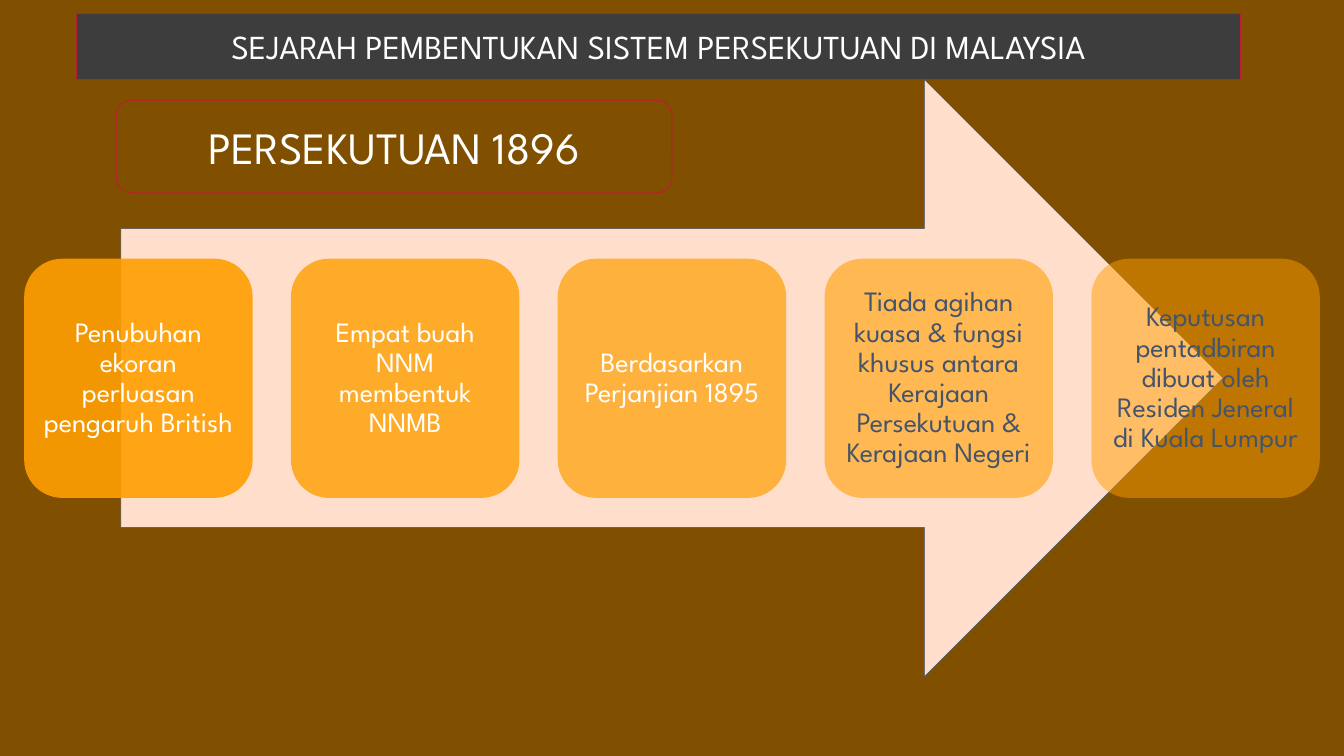
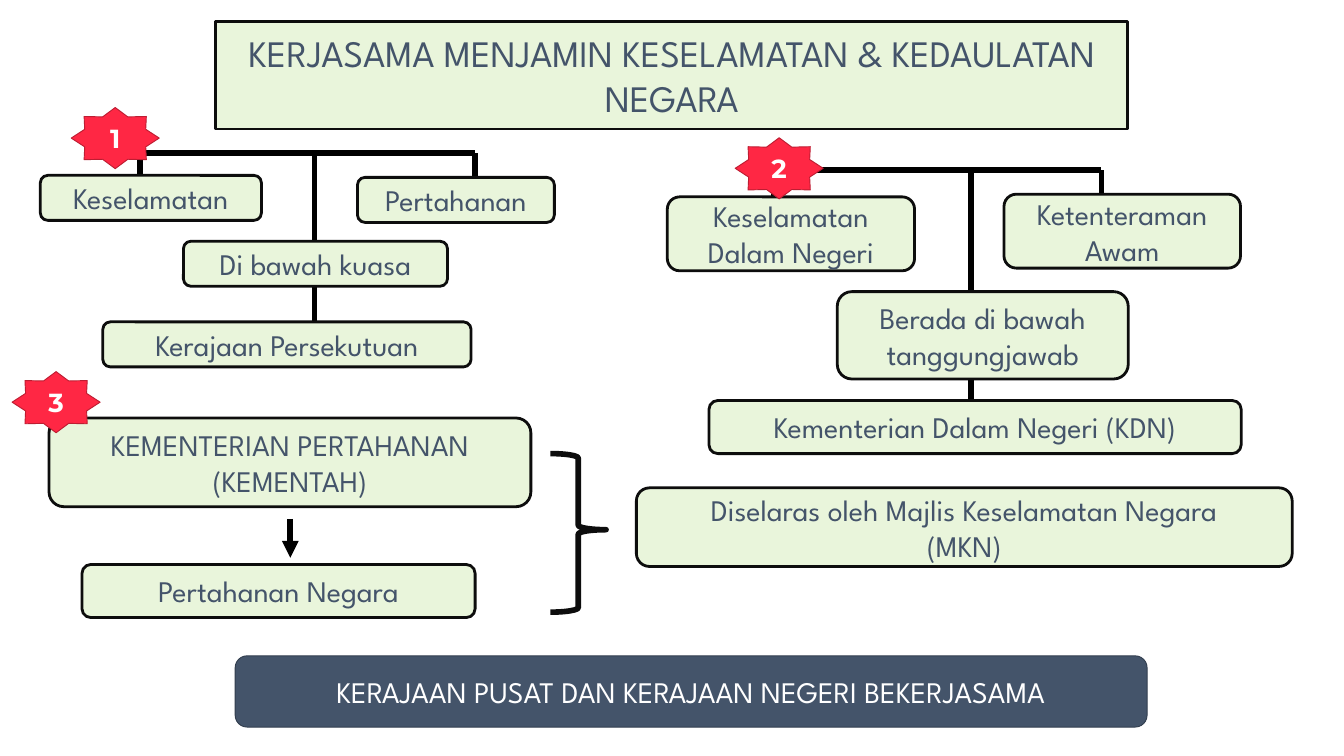
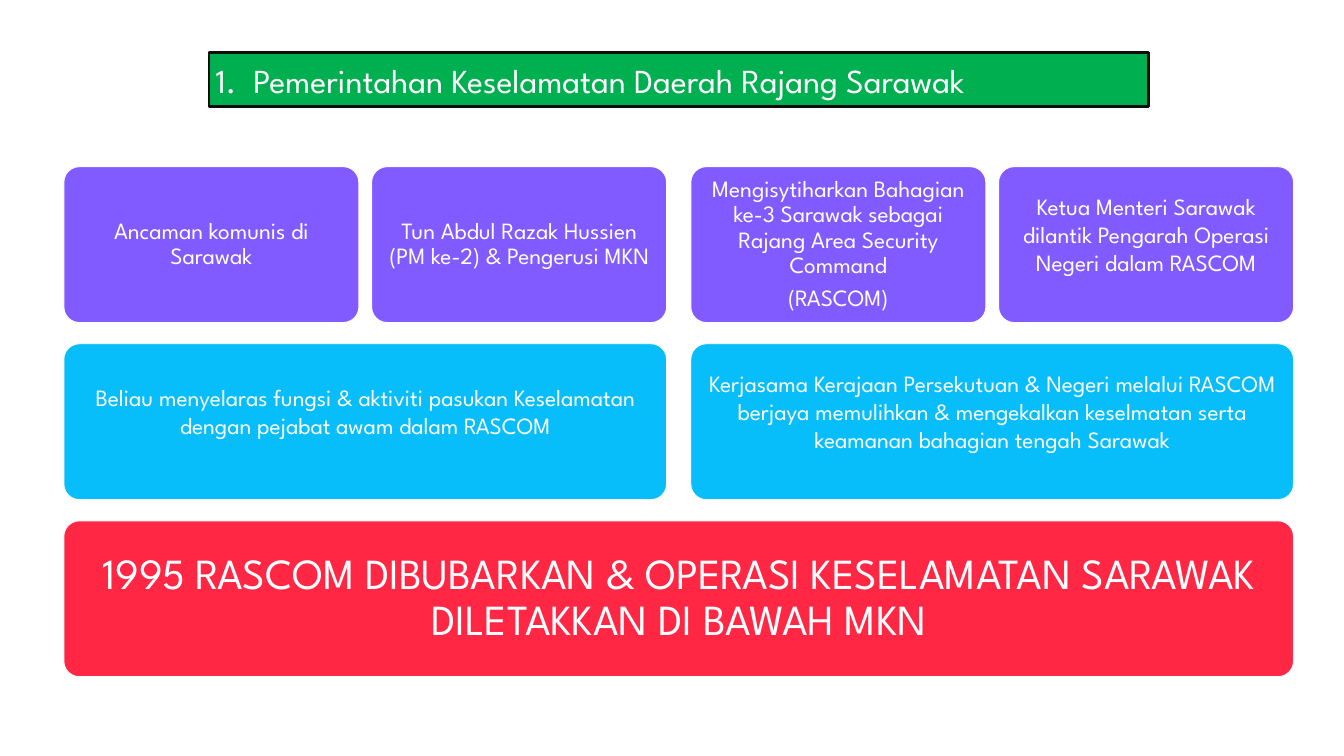
from dataclasses import dataclass
from typing import NamedTuple

from lxml import etree
from pptx import Presentation
from pptx.dml.color import RGBColor
from pptx.enum.shapes import MSO_CONNECTOR, MSO_SHAPE
from pptx.enum.text import MSO_ANCHOR, MSO_AUTO_SIZE, PP_ALIGN
from pptx.oxml.ns import qn
from pptx.util import Inches, Pt

ROUNDED = MSO_SHAPE.ROUNDED_RECTANGLE
ARROW = MSO_SHAPE.RIGHT_ARROW
STAR = MSO_SHAPE.STAR_8_POINT
BRACE = MSO_SHAPE.RIGHT_BRACE
STRAIGHT = MSO_CONNECTOR.STRAIGHT
MIDDLE = MSO_ANCHOR.MIDDLE
NO_FIT = MSO_AUTO_SIZE.NONE
CENTER = PP_ALIGN.CENTER
LEFT = PP_ALIGN.LEFT

WHITE = RGBColor(0xFF, 0xFF, 0xFF)
BLACK = RGBColor(0x00, 0x00, 0x00)
BROWN = RGBColor(0x80, 0x4F, 0x00)
PEACH = RGBColor(0xFF, 0xDF, 0xCC)
ORANGE = RGBColor(0xFF, 0x9E, 0x02)
SLATE = RGBColor(0x44, 0x54, 0x6A)
SLATE_DARK = RGBColor(0x32, 0x3E, 0x4E)
CHARCOAL = RGBColor(0x3D, 0x3D, 0x3D)
CRIMSON = RGBColor(0xBD, 0x1D, 0x32)
RED = RGBColor(0xFF, 0x27, 0x44)
PALE_GREEN = RGBColor(0xE9, 0xF5, 0xDB)
INK = RGBColor(0x0D, 0x0D, 0x0D)
GREEN = RGBColor(0x00, 0xB0, 0x50)
SKY = RGBColor(0x07, 0xBD, 0xFA)
VIOLET = RGBColor(0x81, 0x5B, 0xFF)

BODY_FONT = "League Spartan"
BADGE_FONT = "Montserrat"
COLUMNS, ROWS = 20, 11.25
COLUMN = ROW = Inches(1)
TITLE_ONLY = 5


class Area(NamedTuple):
    column: float
    row: float
    columns: float
    rows: float

    def lengths(self) -> tuple:
        return (int(self.column * COLUMN), int(self.row * ROW),
                int(self.columns * COLUMN), int(self.rows * ROW))


@dataclass(frozen=True)
class Look:
    fill: RGBColor
    line: RGBColor | None = None
    weight: float = 1
    opacity: int = 100


class Label(NamedTuple):
    area: Area
    text: str


class Drop(NamedTuple):
    column: float
    end_row: float


@dataclass(frozen=True)
class Tree:
    bar_row: float
    drops: tuple[Drop, ...]
    labels: tuple[Label, ...]


class Tile(NamedTuple):
    row: int
    first: int
    span: int
    text: str
    loose: bool = False


BOX_LOOK = Look(PALE_GREEN, INK, 3)
BADGE_LOOK = Look(RED, CRIMSON)

CARDS = (
    "Penubuhan ekoran perluasan pengaruh British",
    "Empat buah NNM membentuk NNMB",
    "Berdasarkan Perjanjian 1895",
    "Tiada agihan kuasa & fungsi khusus antara Kerajaan Persekutuan & Kerajaan Negeri",
    "Keputusan pentadbiran dibuat oleh Residen Jeneral di Kuala Lumpur",
)

TREES = (
    Tree(2.28, (Drop(2.08, 3.05), Drop(4.68, 4.8), Drop(7.07, 3.31)), (
        Label(Area(1.53, 4.79, 5.48, 0.67), "Kerajaan Persekutuan"),
        Label(Area(5.32, 2.64, 2.93, 0.67), "Pertahanan"),
        Label(Area(2.73, 3.59, 3.93, 0.67), "Di bawah kuasa"),
        Label(Area(0.6, 2.61, 3.29, 0.67), "Keselamatan"),
    )),
    Tree(2.53, (Drop(11.51, 3.44), Drop(14.45, 6.43), Drop(16.39, 3.74)), (
        Label(Area(10.55, 5.96, 7.92, 0.79), "Kementerian Dalam Negeri (KDN)"),
        Label(Area(14.94, 2.89, 3.52, 1.1), "Ketenteraman Awam"),
        Label(Area(9.93, 2.93, 3.68, 1.1), "Keselamatan Dalam Negeri"),
        Label(Area(12.46, 4.34, 4.33, 1.3), "Berada di bawah tanggungjawab"),
    )),
)

MINISTRY = (
    Label(Area(0.73, 6.22, 7.17, 1.32), "KEMENTERIAN PERTAHANAN\n(KEMENTAH)"),
    Label(Area(1.22, 8.4, 5.85, 0.79), "Pertahanan Negara"),
    Label(Area(9.47, 7.26, 9.76, 1.17), "Diselaras oleh Majlis Keselamatan Negara\n(MKN)"),
)

BADGES = ((1.06, 1.6), (10.94, 2.05), (0.18, 5.53))

TILE_LOOKS = (Look(VIOLET, WHITE), Look(SKY, WHITE), Look(RED, WHITE))
TILES = (
    Tile(0, 0, 1, "Ancaman komunis di Sarawak"),
    Tile(0, 1, 1, "Tun Abdul Razak Hussien (PM ke-2) & Pengerusi MKN"),
    Tile(0, 2, 1, "Mengisytiharkan Bahagian ke-3 Sarawak sebagai Rajang Area "
                  "Security Command\n(RASCOM)"),
    Tile(0, 3, 1, "Ketua Menteri Sarawak dilantik Pengarah Operasi Negeri dalam RASCOM", True),
    Tile(1, 0, 2, "Beliau menyelaras fungsi & aktiviti pasukan Keselamatan dengan "
                  "pejabat awam dalam RASCOM", True),
    Tile(1, 2, 2, "Kerjasama Kerajaan Persekutuan & Negeri melalui RASCOM berjaya "
                  "memulihkan & mengekalkan keselmatan serta keamanan bahagian "
                  "tengah Sarawak", True),
    Tile(2, 0, 4, "1995 RASCOM DIBUBARKAN & OPERASI KESELAMATAN SARAWAK "
                  "DILETAKKAN DI BAWAH MKN"),
)
TILE_COLUMNS = (0.95, 5.53, 10.28, 14.86)
TILE_WIDTH = 4.39


def write(box, text: str, *, size: float, color: RGBColor = SLATE, font: str = BODY_FONT,
          bold: bool = False, align=CENTER, spacing: float = 1, after: float = 0,
          inset: float | None = None, bottom: float | None = None,
          numbered: bool = False) -> None:
    frame = box.text_frame
    frame.word_wrap = True
    frame.auto_size = NO_FIT
    frame.vertical_anchor = MIDDLE
    if inset is not None:
        frame.margin_left = frame.margin_right = frame.margin_top = Inches(inset)
        frame.margin_bottom = Inches(inset if bottom is None else bottom)
    for index, line in enumerate(text.split("\n")):
        para = frame.add_paragraph() if index else frame.paragraphs[0]
        if numbered:
            properties = para._p.get_or_add_pPr()
            properties.set("marL", str(Inches(0.56)))
            properties.set("indent", str(-Inches(0.56)))
            etree.SubElement(properties, qn("a:buAutoNum"), type="arabicPeriod")
        para.alignment = align
        para.line_spacing = spacing
        para.space_after = Pt(after)
        span = para.add_run()
        span.text = line
        span.font.size = Pt(size)
        span.font.name = font
        span.font.bold = bold
        span.font.color.rgb = color


def paint(box, look: Look) -> None:
    box.fill.solid()
    box.fill.fore_color.rgb = look.fill
    if look.opacity < 100:
        color = box.fill._xPr.find(qn("a:solidFill"))[0]
        etree.SubElement(color, qn("a:alpha"), val=str(look.opacity * 1000))
    if look.line is None:
        box.line.fill.background()
    else:
        box.line.color.rgb = look.line
        box.line.width = Pt(look.weight)


def add_box(page, area: Area, look: Look, kind=ROUNDED, adjustments: tuple = ()):
    box = page.shapes.add_shape(kind, *area.lengths())
    box.shadow.inherit = False
    for index, value in enumerate(adjustments):
        box.adjustments[index] = value
    paint(box, look)
    return box


def add_title(page, area: Area, look: Look, text: str, **style) -> None:
    title = page.shapes.title
    title.left, title.top, title.width, title.height = area.lengths()
    geometry = etree.SubElement(title._element.spPr, qn("a:prstGeom"), prst="roundRect")
    etree.SubElement(geometry, qn("a:avLst"))
    paint(title, look)
    write(title, text, inset=0.1, **style)


def add_line(page, start: tuple, end: tuple, arrow: bool = False) -> None:
    line = page.shapes.add_connector(
        STRAIGHT, int(start[0] * COLUMN), int(start[1] * ROW),
        int(end[0] * COLUMN), int(end[1] * ROW))
    line.line.color.rgb = BLACK
    line.line.width = Pt(6)
    if arrow:
        etree.SubElement(line.line._get_or_add_ln(), qn("a:tailEnd"), type="triangle")
    etree.SubElement(line._element.spPr, qn("a:effectLst"))


def add_label(page, label: Label) -> None:
    write(add_box(page, label.area, BOX_LOOK), label.text, size=32)


def add_tree(page, tree: Tree) -> None:
    for drop in tree.drops:
        add_line(page, (drop.column, tree.bar_row), (drop.column, drop.end_row))
    add_line(page, (tree.drops[0].column, tree.bar_row),
             (tree.drops[-1].column, tree.bar_row))
    for label in tree.labels:
        add_label(page, label)


def add_page(deck, background: RGBColor):
    page = deck.slides.add_slide(deck.slide_layouts[TITLE_ONLY])
    page.background.fill.solid()
    page.background.fill.fore_color.rgb = background
    return page


def build_history(deck) -> None:
    page = add_page(deck, BROWN)
    add_title(page, Area(1.14, 0.2, 17.32, 0.98), Look(CHARCOAL, CRIMSON),
              "SEJARAH PEMBENTUKAN SISTEM PERSEKUTUAN DI MALAYSIA", size=36, color=WHITE)
    add_box(page, Area(1.8, 1.18, 16.4, 8.89), Look(PEACH, SLATE, 0.5), ARROW)
    for index, text in enumerate(CARDS):
        card = add_box(page, Area(0.36 + 3.97 * index, 3.85, 3.4, 3.56),
                       Look(ORANGE, opacity=90 - 10 * index))
        write(card, text, size=30, color=WHITE if index < 3 else SLATE,
              spacing=0.9, after=10.5, inset=0.12)
    heading = add_box(page, Area(1.73, 1.49, 8.27, 1.38), Look(BROWN, CRIMSON))
    write(heading, "PERSEKUTUAN 1896", size=48, color=WHITE)


def build_security(deck) -> None:
    page = add_page(deck, WHITE)
    add_title(page, Area(3.21, 0.32, 13.57, 1.6), BOX_LOOK,
              "KERJASAMA MENJAMIN KESELAMATAN & KEDAULATAN NEGARA", size=40)
    for tree in TREES:
        add_tree(page, tree)
    for label in MINISTRY:
        add_label(page, label)
    add_line(page, (4.32, 7.72), (4.32, 8.3), arrow=True)
    add_box(page, Area(8.19, 6.75, 0.83, 2.36), Look(WHITE, INK, 6), BRACE, (0.08, 0.48))
    for number, (column, row) in enumerate(BADGES, start=1):
        badge = add_box(page, Area(column, row, 1.31, 0.91), BADGE_LOOK, STAR)
        write(badge, str(number), size=28, color=WHITE, font=BADGE_FONT, bold=True)
    footer = add_box(page, Area(3.5, 9.76, 13.57, 1.06), Look(SLATE, SLATE_DARK))
    write(footer, "KERAJAAN PUSAT DAN KERAJAAN NEGERI BEKERJASAMA", size=32, color=WHITE)


def build_rascom(deck) -> None:
    page = add_page(deck, WHITE)
    add_title(page, Area(3.11, 0.78, 13.98, 0.81), Look(GREEN, INK, 3),
              "Pemerintahan Keselamatan Daerah Rajang Sarawak",
              size=36, color=WHITE, align=LEFT, numbered=True)
    for tile in TILES:
        left = TILE_COLUMNS[tile.first]
        right = TILE_COLUMNS[tile.first + tile.span - 1] + TILE_WIDTH
        box = add_box(page, Area(left, 2.48 + 2.635 * tile.row, right - left, 2.32),
                      TILE_LOOKS[tile.row], adjustments=(0.1,))
        closing = tile.row == 2
        write(box, tile.text, size=46 if closing else 25, color=WHITE,
              spacing=1 if tile.loose else 0.9, after=0 if tile.loose else 8.75,
              inset=0.19 if closing else 0.1, bottom=0.41 if tile.loose else None)


def main() -> None:
    deck = Presentation()
    deck.slide_width = COLUMNS * COLUMN
    deck.slide_height = int(ROWS * ROW)
    build_history(deck)
    build_security(deck)
    build_rascom(deck)
    deck.save("out.pptx")


if __name__ == "__main__":
    main()
